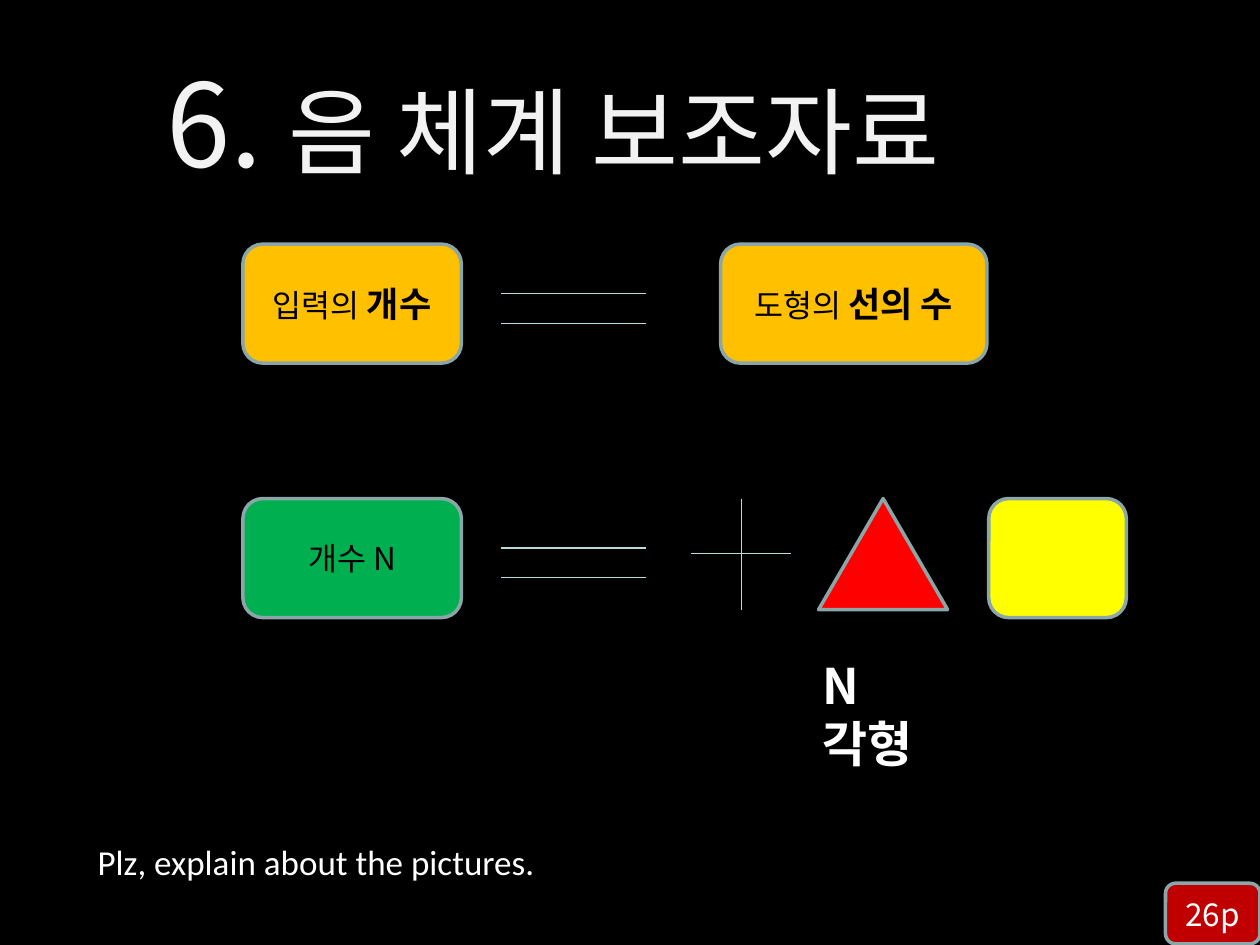
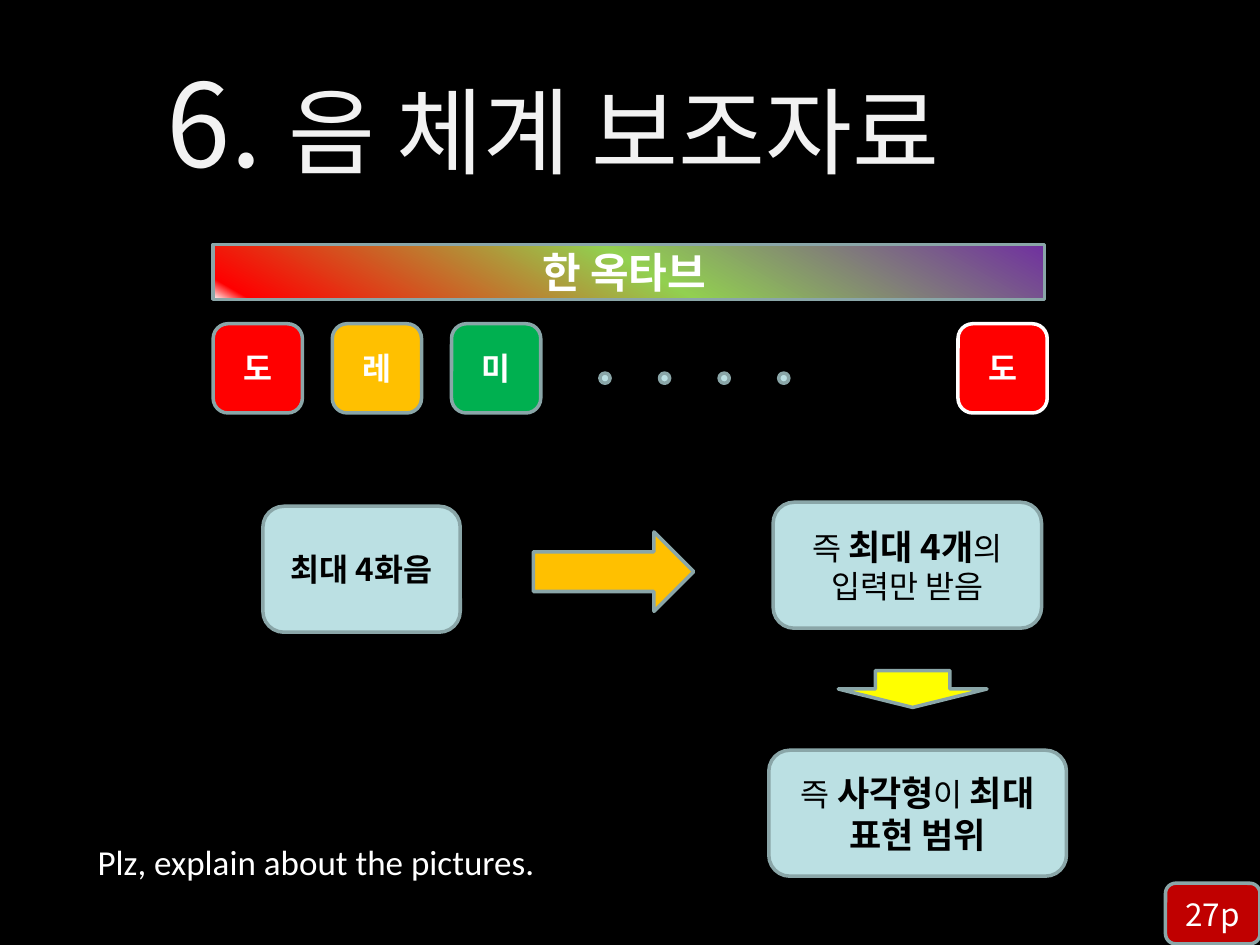
"""Build two black slides that explain a tone system with shapes."""
from lxml import etree
from pptx import Presentation
from pptx.dml.color import RGBColor
from pptx.enum.shapes import MSO_CONNECTOR, MSO_SHAPE
from pptx.enum.text import MSO_ANCHOR, MSO_AUTO_SIZE, PP_ALIGN
from pptx.oxml.ns import qn
from pptx.util import Pt

RECT = MSO_SHAPE.RECTANGLE
ROUND = MSO_SHAPE.ROUNDED_RECTANGLE
TRIANGLE = MSO_SHAPE.ISOSCELES_TRIANGLE
OVAL = MSO_SHAPE.OVAL
RIGHT_ARROW = MSO_SHAPE.RIGHT_ARROW
DOWN_ARROW = MSO_SHAPE.DOWN_ARROW
STRAIGHT = MSO_CONNECTOR.STRAIGHT
TOP, MIDDLE = MSO_ANCHOR.TOP, MSO_ANCHOR.MIDDLE
LEFT, CENTER = PP_ALIGN.LEFT, PP_ALIGN.CENTER
FIT_SHAPE = MSO_AUTO_SIZE.SHAPE_TO_FIT_TEXT
TITLE_ONLY = 5

KOREAN, LATIN = "Noto Sans CJK KR", "Calibri"
BLACK, WHITE, TITLE_GREY = "000000", "FFFFFF", "F2F2F2"
RED, AMBER, GREEN, YELLOW = "FF0000", "FFC000", "00B050", "FFFF00"
PALE, OUTLINE, RULE, BADGE = "BBE0E3", "8AA6A8", "B6DCDF", "C00000"
RAINBOW = [(0, "7030A0"), (48, "92D050"), (96, RED), (100, WHITE)]


def rgb(value):
    return RGBColor.from_string(value)


class Deck:
    def __init__(self):
        self.prs = Presentation()
        self.prs.slide_width, self.prs.slide_height = Pt(720), Pt(540)
        self.s = None

    def slide(self, page):
        self.s = self.prs.slides.add_slide(self.prs.slide_layouts[TITLE_ONLY])
        fill = self.s.background.fill
        fill.solid()
        fill.fore_color.rgb = rgb(BLACK)
        self.title([("6. ", 66, False), ("음 체계 보조자료", 54, False)])
        self.label(47.5, 476.6, 266.4, 31.7, "Plz, explain about the pictures.",
                   20, font=LATIN, align=CENTER)
        self.shape(ROUND, 666, 504.7, 54, 34.6, BADGE, [(page, 18, False)], WHITE)

    def add_text(self, tf, runs, color, font=KOREAN, align=CENTER):
        p = tf.paragraphs[0]
        p.alignment = align
        p.font.name = font
        p.font.color.rgb = rgb(color)
        etree.SubElement(p.font._element, qn("a:ea"), typeface=font)
        for text, size, bold in runs:
            r = p.add_run()
            r.text = text
            r.font.size, r.font.bold = Pt(size), bold

    def title(self, runs):
        sp = self.s.shapes.title
        sp.left, sp.top, sp.width, sp.height = Pt(87.8), Pt(25.9), Pt(509.8), Pt(87.1)
        tf = sp.text_frame
        tf.word_wrap, tf.auto_size = False, FIT_SHAPE
        tf.vertical_anchor = TOP
        self.add_text(tf, runs, TITLE_GREY, align=LEFT)

    def label(self, x, y, w, h, text, size, bold=False, font=KOREAN, align=LEFT,
              right_inset=7.2):
        sp = self.s.shapes.add_textbox(Pt(x), Pt(y), Pt(w), Pt(h))
        tf = sp.text_frame
        tf.word_wrap = True
        tf.margin_right = Pt(right_inset)
        self.add_text(tf, [(text, size, bold)], WHITE, font, align)

    def shape(self, kind, x, y, w, h, fill, runs=(), color=BLACK, line=OUTLINE):
        sp = self.s.shapes.add_shape(kind, Pt(x), Pt(y), Pt(w), Pt(h))
        sp.shadow.inherit = False
        sp.fill.solid()
        sp.fill.fore_color.rgb = rgb(fill)
        sp.line.color.rgb = rgb(line)
        sp.line.width = Pt(2)
        if runs:
            tf = sp.text_frame
            tf.word_wrap, tf.vertical_anchor = True, MIDDLE
            self.add_text(tf, runs, color)
        return sp

    def gradient(self, sp, stops, angle):
        sp.fill.gradient()
        sp.fill.gradient_angle = 0
        grad = sp._element.spPr.find(qn("a:gradFill"))
        stop_list = grad.find(qn("a:gsLst"))
        for old in list(stop_list):
            stop_list.remove(old)
        for position, color in stops:
            gs = etree.SubElement(stop_list, qn("a:gs"), pos=str(position * 1000))
            etree.SubElement(gs, qn("a:srgbClr"), val=color)
        lin = grad.find(qn("a:lin"))
        lin.set("ang", str(angle * 60000))
        lin.set("scaled", "0")

    def line(self, x1, y1, x2, y2):
        c = self.s.shapes.add_connector(STRAIGHT, Pt(x1), Pt(y1), Pt(x2), Pt(y2))
        c.line.color.rgb = rgb(RULE)
        c.line.width = Pt(0.75)
        etree.SubElement(c._element.spPr, qn("a:effectLst"))

    def equals(self, y):
        for offset in (0, 17):
            self.line(286.5, y + offset, 369.3, y + offset)


def shapes_slide(deck):
    deck.slide("26p")
    top, bottom, height = 139.5, 284.9, 68
    deck.shape(ROUND, 138.8, top, 124.8, height, AMBER,
               [("입력의 ", 18, False), ("개수", 20, True)])
    deck.shape(ROUND, 411.8, top, 152.2, height, AMBER,
               [("도형의 ", 18, False), ("선의 수", 20, True)])
    deck.shape(ROUND, 138.8, bottom, 124.8, height, GREEN, [("개수 N", 18, False)])
    for y in (top, bottom):
        deck.equals(y + 28.3)
    deck.line(395, 316.2, 452, 316.2)
    deck.line(423.6, bottom, 423.6, 348.5)
    deck.shape(TRIANGLE, 467.8, bottom, 73.7, 63.4, RED)
    deck.shape(ROUND, 565, bottom, 78.6, height, YELLOW)
    deck.label(463, 370.8, 89.3, 41, "N각형", 28, bold=True, right_inset=20)


def octave_slide(deck):
    deck.slide("27p")
    left, step, note = 121.8, 68.1, 51
    band = deck.shape(RECT, left, 139.7, 475.2, 31.4, RED,
                      [("한 옥타브 ", 24, True)], WHITE)
    deck.gradient(band, RAINBOW, 120)
    notes = [("도", RED, 0, OUTLINE), ("레", AMBER, 1, OUTLINE),
             ("미", GREEN, 2, OUTLINE), ("도", RED, 6.25, WHITE)]
    for name, fill, column, line in notes:
        deck.shape(ROUND, left + column * step, 185, note, note, fill,
                   [(name, 18, True)], WHITE, line)
    for i in range(4):
        deck.shape(OVAL, 342.8 + i * 34.05, 213.2, 5.8, 5.8, PALE)
    deck.shape(ROUND, 150.2, 289.3, 112.8, 72, PALE, [("최대 4화음", 18, True)])
    deck.shape(ROUND, 441.8, 287, 153.4, 72, PALE,
               [("즉 ", 18, False), ("최대 4개", 20, True), ("의 입력만 받음", 18, False)])
    deck.shape(RIGHT_ARROW, 304.8, 304, 91.6, 45.4, AMBER)
    deck.shape(DOWN_ARROW, 479, 383.2, 85, 21.1, YELLOW)
    deck.shape(ROUND, 439.3, 428.7, 170.1, 72, PALE,
               [("즉 ", 18, False), ("사각형", 20, True), ("이 ", 18, False),
                ("최대 표현 범위", 20, True)])


def main():
    deck = Deck()
    shapes_slide(deck)
    octave_slide(deck)
    deck.prs.save("out.pptx")


if __name__ == "__main__":
    main()
